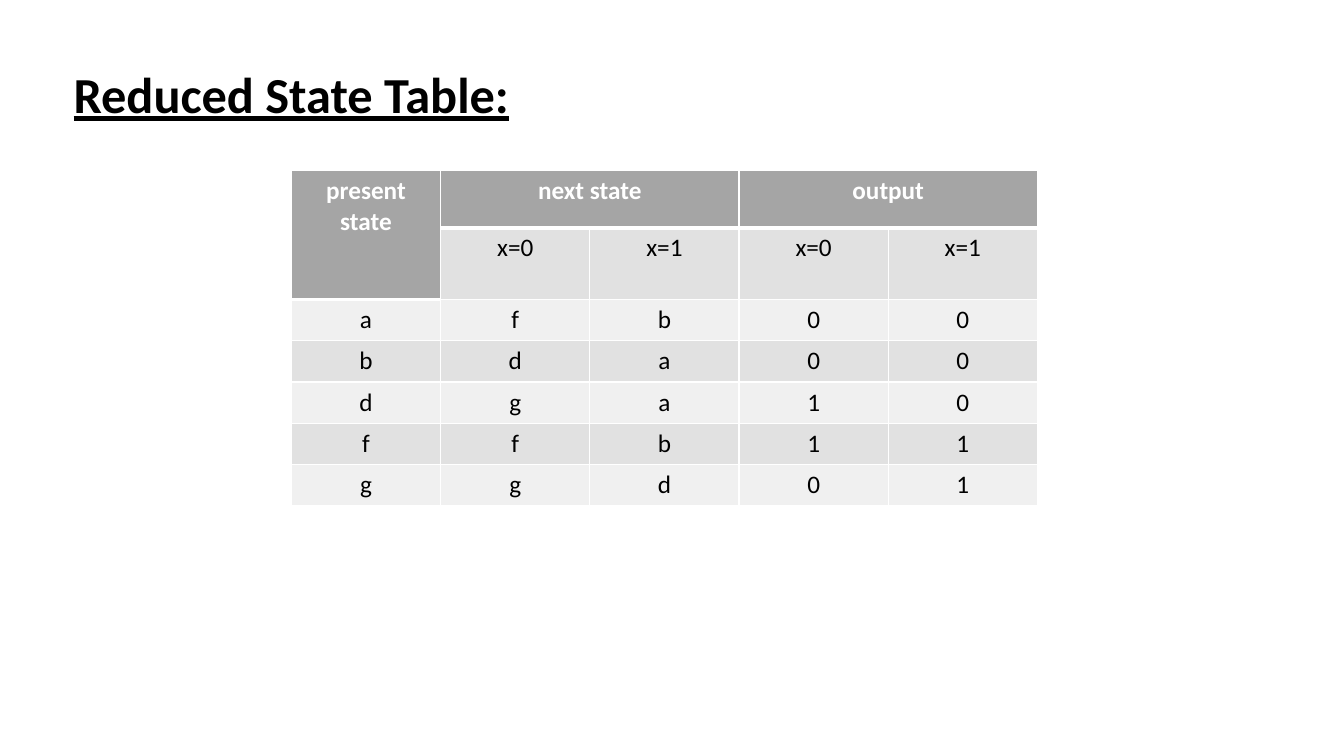
from lxml import etree
from pptx import Presentation
from pptx import oxml
from pptx.dml.color import RGBColor
from pptx.enum import text
from pptx.util import Inches, Pt

HEADS = ["present state", "next state", "", "output", ""]
STATES = [
    ["", "x=0", "x=1", "x=0", "x=1"],
    ["a", "f", "b", "0", "0"],
    ["b", "d", "a", "0", "0"],
    ["d", "g", "a", "1", "0"],
    ["f", "f", "b", "1", "1"],
    ["g", "g", "d", "0", "1"],
]
ROWS = [HEADS] + STATES
HEIGHTS = [0.57, 0.7] + [0.41] * 5
WIDTH = 1.48


def paint(target, color):
    """Give a fill or a font a solid colour."""
    if hasattr(target, "solid"):
        target.solid()
        target = target.fore_color
    else:
        target = target.color
    target.rgb = RGBColor.from_string(color)


def write(frame, words, size=18, color="000000", bold=False, line=False, gap=None):
    frame.text = words
    par = frame.paragraphs[0]
    par.alignment = text.PP_ALIGN.CENTER
    par.line_spacing = gap
    par.space_before = Pt(0)
    font = par.runs[0].font
    font.name, font.size = "Calibri", Pt(size)
    font.bold, font.underline = bold, line
    paint(font, color)


def edge(cell, side, width):
    """Draw one white border of a cell."""
    ln = etree.SubElement(cell._tc.get_or_add_tcPr(), oxml.ns.qn("a:ln" + side))
    ln.set("w", str(Pt(width)))
    fill = etree.SubElement(ln, oxml.ns.qn("a:solidFill"))
    etree.SubElement(fill, oxml.ns.qn("a:srgbClr")).set("val", "FFFFFF")


def is_head(row, col):
    return row == 0 or (row, col) == (1, 0)


def add_title(slide):
    title = slide.shapes.title
    title.left, title.top = Inches(0.51), Inches(0.69)
    title.width, title.height = Inches(4.76), Inches(0.62)
    frame = title.text_frame
    frame.word_wrap = True
    frame.auto_size = text.MSO_AUTO_SIZE.NONE
    frame.vertical_anchor = text.MSO_ANCHOR.TOP
    write(frame, "Reduced State Table:", size=36, bold=True, line=True, gap=0.8)


def add_states(slide):
    count = len(HEADS)
    table = slide.shapes.add_table(
        len(ROWS), count, Inches(2.89), Inches(1.69),
        Inches(WIDTH * count), Inches(sum(HEIGHTS))).table
    for col in table.columns:
        col.width = Inches(WIDTH)
    for row, height in zip(table.rows, HEIGHTS):
        row.height = Inches(height)

    for r, row in enumerate(ROWS):
        for c, words in enumerate(row):
            cell = table.cell(r, c)
            head = is_head(r, c)
            below = r > 0 and is_head(r - 1, c)
            for side, width in (("L", 1), ("R", 1), ("T", 3 if below else 1),
                                ("B", 3 if head else 1)):
                edge(cell, side, width)
            paint(cell.fill, "A5A5A5" if head else ("F0F0F0", "E1E1E1")[r % 2])
            if words:
                write(cell.text_frame, words, bold=head,
                      color="FFFFFF" if head else "000000")

    table.cell(0, 0).merge(table.cell(1, 0))
    for c in (1, 3):
        table.cell(0, c).merge(table.cell(0, c + 1))


def main():
    deck = Presentation()
    deck.slide_width, deck.slide_height = Inches(13.33), Inches(7.5)
    slide = deck.slides.add_slide(deck.slide_layouts[5])
    add_title(slide)
    add_states(slide)
    deck.save("out.pptx")


if __name__ == "__main__":
    main()
